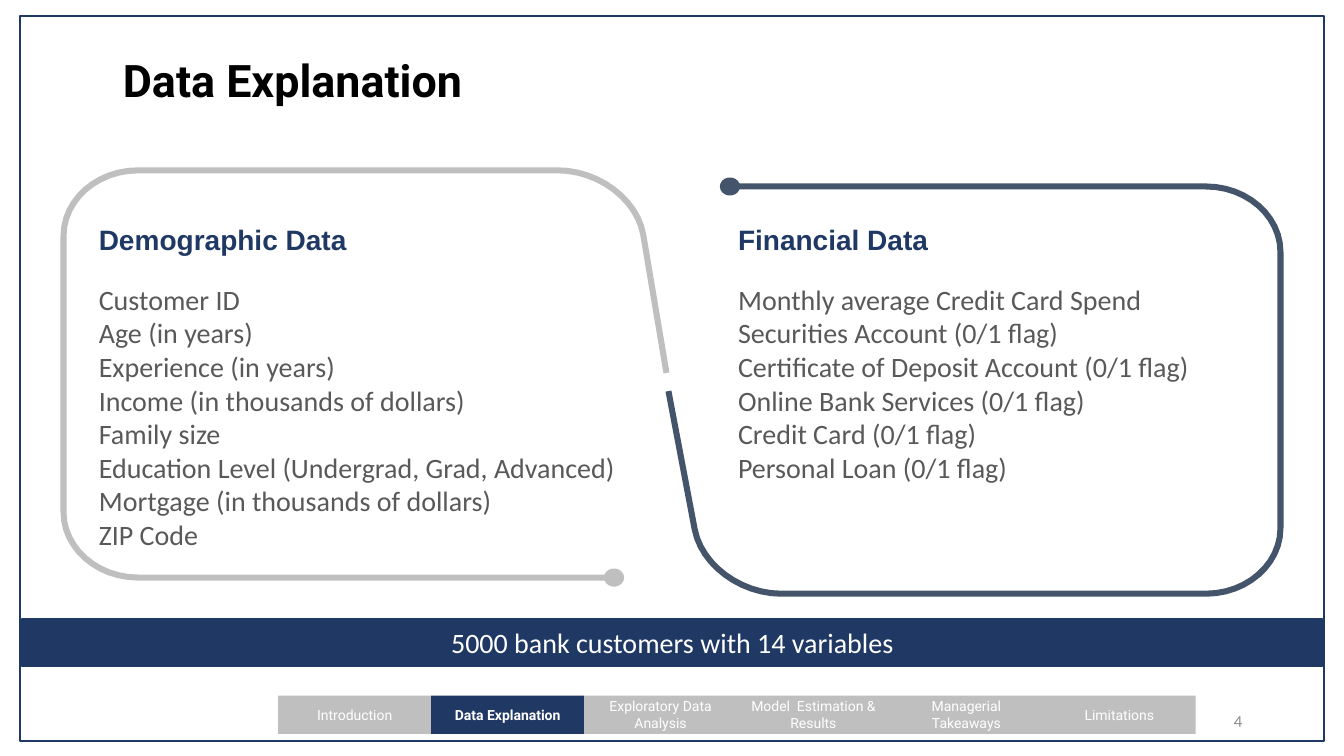
from math import cos, hypot, pi, radians, sin

from pptx import Presentation
from pptx.dml.color import RGBColor
from pptx.enum.shapes import MSO_SHAPE
from pptx.enum.text import MSO_ANCHOR, PP_ALIGN
from pptx.util import Inches, Pt

NAVY = RGBColor(0x20, 0x38, 0x64)
SLATE = RGBColor(0x44, 0x54, 0x6A)
SILVER = RGBColor(0xBF, 0xBF, 0xBF)
BODY_GRAY = RGBColor(0x59, 0x59, 0x59)
NUMBER_GRAY = RGBColor(0x8C, 0x8C, 0x8C)
WHITE = RGBColor(0xFF, 0xFF, 0xFF)
BLACK = RGBColor(0, 0, 0)

BRACKET_WIDTH = 0.06
DOT_RADII = (0.1, 0.09)
CURVE_STEPS = 12

SECTIONS = [
    "Introduction", "Data Explanation", "Exploratory Data Analysis",
    "Model  Estimation & Results", "Managerial Takeaways", "Limitations",
]
CURRENT_SECTION = "Data Explanation"

DEMOGRAPHIC = [
    "Customer ID", "Age (in years)", "Experience (in years)",
    "Income (in thousands of dollars)", "Family size",
    "Education Level (Undergrad, Grad, Advanced)",
    "Mortgage (in thousands of dollars)", "ZIP Code",
]
FINANCIAL = [
    "Monthly average Credit Card Spend", "Securities Account (0/1 flag)",
    "Certificate of Deposit Account (0/1 flag)",
    "Online Bank Services (0/1 flag)", "Credit Card (0/1 flag)",
    "Personal Loan (0/1 flag)",
]


def write(shape, lines, size, color, font="Calibri", bold=False,
          align=PP_ALIGN.LEFT, anchor=MSO_ANCHOR.MIDDLE, inset=None, spacing=None):
    frame = shape.text_frame
    frame.word_wrap = True
    frame.vertical_anchor = anchor
    if inset is not None:
        frame.margin_left = frame.margin_right = Inches(inset)
        frame.margin_top = frame.margin_bottom = Inches(inset)
    for index, line in enumerate(lines):
        paragraph = frame.paragraphs[0] if index == 0 else frame.add_paragraph()
        paragraph.alignment = align
        if spacing:
            paragraph.line_spacing = spacing
        run = paragraph.add_run()
        run.text = line
        run.font.name = font
        run.font.size = Pt(size)
        run.font.bold = bold
        run.font.color.rgb = color


def add_text(slide, box, lines, size, color, **style):
    textbox = slide.shapes.add_textbox(*map(Inches, box))
    write(textbox, lines, size, color, **style)


def paint(shape, fill=None, line=None, line_width=1):
    shape.shadow.inherit = False
    if fill is None:
        shape.fill.background()
    else:
        shape.fill.solid()
        shape.fill.fore_color.rgb = fill
    if line is None:
        shape.line.fill.background()
    else:
        shape.line.color.rgb = line
        shape.line.width = Pt(line_width)


def add_rectangle(slide, box, **colors):
    rectangle = slide.shapes.add_shape(MSO_SHAPE.RECTANGLE, *map(Inches, box))
    paint(rectangle, **colors)
    return rectangle


def rounded_corner(start, corner, end):
    """Points of a curve from start to end, tangent to the lines that meet at corner."""
    pull = 0.55
    handles = [[p + pull * (c - p) for p, c in zip(point, corner)]
               for point in (start, end)]
    points = []
    for step in range(CURVE_STEPS + 1):
        t = step / CURVE_STEPS
        weights = ((1 - t) ** 3, 3 * t * (1 - t) ** 2, 3 * t * t * (1 - t), t ** 3)
        controls = (start, *handles, end)
        points.append(tuple(sum(w * c[axis] for w, c in zip(weights, controls))
                            for axis in (0, 1)))
    return points


def offset(points, distance):
    """Points moved sideways from the line they form."""
    moved = []
    for index, (x, y) in enumerate(points):
        before = points[max(index - 1, 0)]
        after = points[min(index + 1, len(points) - 1)]
        dx, dy = after[0] - before[0], after[1] - before[1]
        length = hypot(dx, dy)
        moved.append((x - distance * dy / length, y + distance * dx / length))
    return moved


def add_bracket(slide, tip, corners, dot, color):
    """Band from the slanted tip round three corners to a dot at its far end."""
    direction = 1 if dot[0] > corners[-1][2][0] else -1
    center = [tip]
    for corner in corners:
        center += rounded_corner(*corner)
    center.append((dot[0] - direction * 0.09, dot[1]))

    base = 0 if direction == 1 else pi
    dot_edge = [(dot[0] + DOT_RADII[0] * cos(base + radians(angle)),
                 dot[1] + DOT_RADII[1] * sin(base + radians(angle)))
                for angle in range(160, -161, -20)]
    half = BRACKET_WIDTH / 2
    outline = offset(center, half) + dot_edge + offset(center, -half)[::-1]
    first, *rest = [(Inches(x), Inches(y)) for x, y in outline]
    builder = slide.shapes.build_freeform(*first)
    builder.add_line_segments(rest, close=True)
    paint(builder.convert_to_shape(), fill=color)


def add_navigation(slide):
    pitch = 9.1 / len(SECTIONS)
    for index, section in enumerate(SECTIONS):
        current = section == CURRENT_SECTION
        tab = add_rectangle(slide, (2.76 + index * pitch, 6.9, pitch, 0.38),
                            fill=NAVY if current else SILVER)
        write(tab, [section], 10, WHITE, font="Roboto", bold=current,
              align=PP_ALIGN.CENTER)


def add_data_group(slide, left, heading, variables):
    add_text(slide, (left, 2.2, 3.7, 0.34), [heading], 20, NAVY,
             font="Arial", bold=True, inset=0)
    add_text(slide, (left, 2.8, 5.18, len(variables) * 0.34), variables, 20,
             BODY_GRAY, anchor=MSO_ANCHOR.TOP, inset=0)


def main():
    presentation = Presentation()
    presentation.slide_width = Inches(13.33)
    presentation.slide_height = Inches(7.5)
    slide = presentation.slides.add_slide(presentation.slide_layouts[6])

    add_rectangle(slide, (0.2, 0.16, 12.93, 7.19), line=NAVY, line_width=1.5)
    add_navigation(slide)
    add_text(slide, (1.12, 0.32, 11.08, 1), ["Data Explanation"], 32, BLACK,
             font="Roboto", bold=True, spacing=0.9)
    add_text(slide, (9.42, 6.95, 3, 0.4), ["4"], 12, NUMBER_GRAY,
             align=PP_ALIGN.RIGHT)

    add_data_group(slide, 0.98, "Demographic Data", DEMOGRAPHIC)
    add_data_group(slide, 7.32, "Financial Data", FINANCIAL)

    add_bracket(slide, (6.61, 3.7), [
        ((6.38, 2.33), (6.27, 1.69), (5.53, 1.69)),
        ((1.37, 1.69), (0.63, 1.69), (0.63, 2.34)),
        ((0.63, 5.08), (0.63, 5.73), (1.37, 5.73)),
    ], (6.09, 5.73), SILVER)
    add_bracket(slide, (6.63, 3.88), [
        ((6.89, 5.25), (7.01, 5.89), (7.75, 5.89)),
        ((11.96, 5.89), (12.7, 5.89), (12.7, 5.24)),
        ((12.7, 2.5), (12.7, 1.85), (11.96, 1.85)),
    ], (7.24, 1.85), SLATE)

    summary = add_rectangle(slide, (0.22, 6.14, 12.9, 0.47), fill=NAVY, line=NAVY)
    write(summary, ["5000 bank customers with 14 variables"], 20, WHITE,
          align=PP_ALIGN.CENTER)

    presentation.save("out.pptx")


if __name__ == "__main__":
    main()
